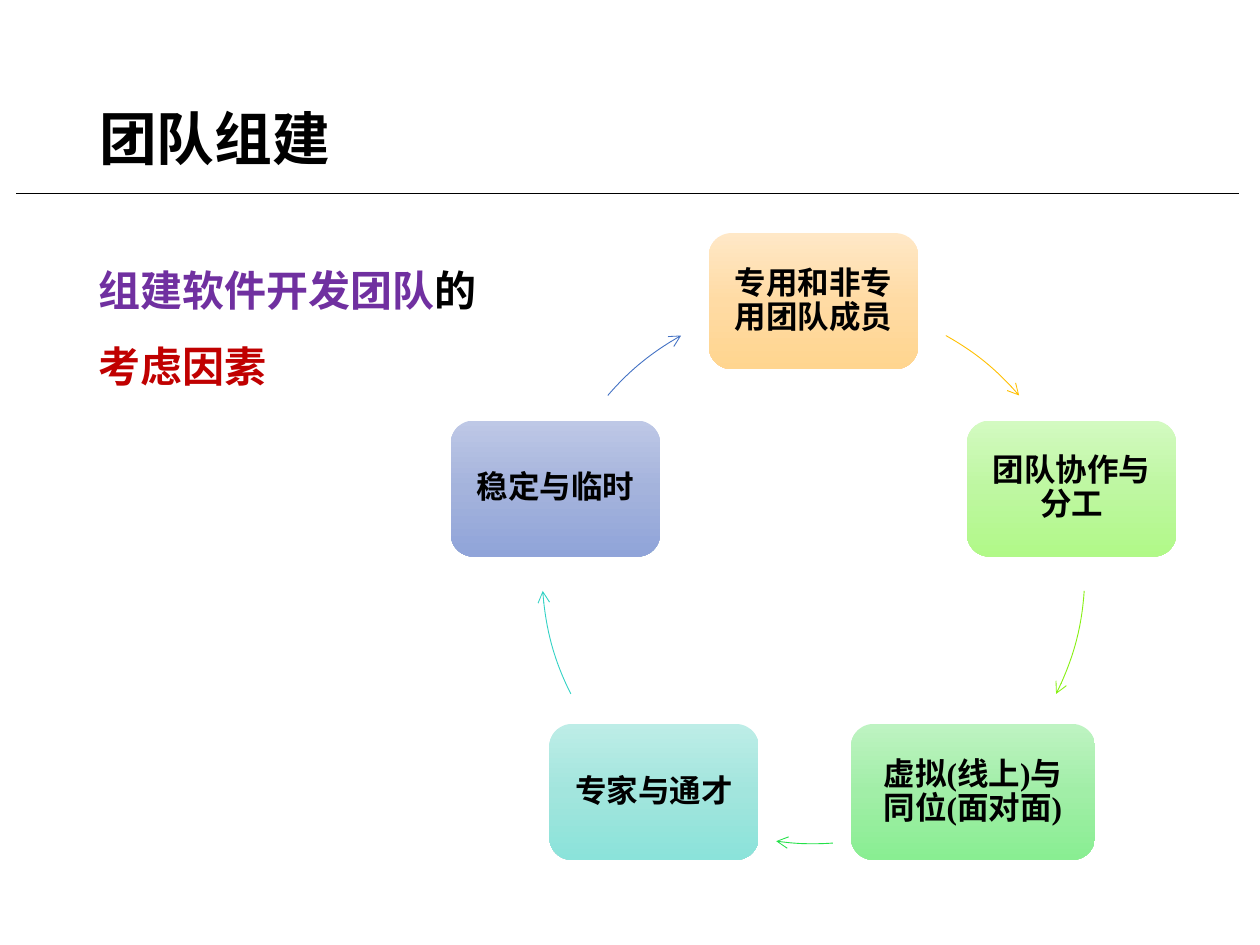
from copy import deepcopy
from math import cos, radians, sin

from pptx import Presentation
from pptx.dml.color import RGBColor as RGB
from pptx.enum.shapes import MSO_CONNECTOR as CONN, MSO_SHAPE as SHAPE
from pptx.enum.text import MSO_ANCHOR as ANCHOR, PP_ALIGN as ALIGN
from pptx.oxml.ns import qn
from pptx.util import Cm, Pt
from lxml.etree import SubElement

COLORS = {"black": "000000", "purple": "7030A0", "red": "C00000"}

prs = Presentation()
prs.slide_width, prs.slide_height = Cm(25.4), Cm(19.05)
slide = prs.slides.add_slide(prs.slide_layouts[6])
shapes = slide.shapes


def style(r, size, color="black", font="Times New Roman"):
    r.font.name, r.font.size, r.font.bold = font, Pt(size), True
    r.font.color.rgb = RGB.from_string(COLORS[color])


def text_box(x, y, w, h, anchor):
    tf = shapes.add_textbox(Cm(x), Cm(y), Cm(w), Cm(h)).text_frame
    tf.word_wrap = True
    tf.vertical_anchor = anchor
    return tf


rule = shapes.add_connector(CONN.STRAIGHT, Cm(0.33), Cm(3.89), Cm(24.97), Cm(3.89))
rule.line.color.rgb = RGB.from_string(COLORS["black"])
rule.line.width = Pt(0.5)
SubElement(rule._element.spPr, qn("a:effectLst"))

tf = text_box(1.75, 1.02, 21.9, 3.68, ANCHOR.MIDDLE)
tf.text = "团队组建"
tf.paragraphs[0].line_spacing = 0.9
style(tf.paragraphs[0].runs[0], 33, font="Calibri")

body = [[("组建软件开发团队", "purple"), ("的", "black")], [("考虑因素", "red")]]
tf = text_box(1.73, 4.7, 18.31, 9.07, ANCHOR.TOP)
for i, line in enumerate(body):
    p = tf.paragraphs[0] if i == 0 else tf.add_paragraph()
    p.line_spacing = 1.5
    for text, color in line:
        r = p.add_run()
        r.text = text
        style(r, 24, color)

center_x, center_y, radius = 16.4, 11.54, 5.47
node_h = 2.74
factors = [
    ("专用和非专用团队成员", 4.22, ["FFE8C7", "FFDBA4", "FFD58F"], "FFC000", 299.2, 319.3),
    ("团队协作与分工", 4.22, ["D3FAC1", "BEF7A1", "B1F988"], "86F011", 3.9, 26.6),
    ("虚拟(线上)与 同位(面对面)", 4.92, ["BEF3C2", "A1EEA7", "89EE92"], "23E148", 85.9, 97.9),
    ("专家与通才", 4.22, ["BDEDE7", "A2E5DD", "8BE3DA"], "33D2C5", 153.4, 176.1),
    ("稳定与临时", 4.22, ["BEC8E6", "A4B3DC", "90A4D9"], "4472C4", 220.7, 240.8),
]
for i, (text, node_w, gradient, arrow_color, start, end) in enumerate(factors):
    angle = radians(72 * i - 90)
    x = center_x + radius * cos(angle) - node_w / 2
    y = center_y + radius * sin(angle) - node_h / 2
    s = shapes.add_shape(SHAPE.ROUNDED_RECTANGLE, Cm(x), Cm(y), Cm(node_w), Cm(node_h))
    s.shadow.inherit = False
    s.line.fill.background()
    s.fill.gradient()
    s.fill.gradient_angle = 270
    stops = s._element.spPr.find(qn("a:gradFill")).find(qn("a:gsLst"))
    stops.insert(1, deepcopy(stops[0]))
    for k, stop in enumerate(s.fill.gradient_stops):
        stop.position = k / 2
        stop.color.rgb = RGB.from_string(gradient[k])
    tf = s.text_frame
    tf.word_wrap = True
    tf.vertical_anchor = ANCHOR.MIDDLE
    tf.margin_left = tf.margin_right = tf.margin_top = tf.margin_bottom = Cm(0.2)
    tf.text = text
    p = tf.paragraphs[0]
    p.alignment = ALIGN.CENTER
    p.line_spacing = 0.9
    style(p.runs[0], 18)

    arc = shapes.add_shape(SHAPE.ARC, Cm(center_x - radius), Cm(center_y - radius),
                           Cm(2 * radius), Cm(2 * radius))
    arc.shadow.inherit = False
    arc.adjustments[0], arc.adjustments[1] = start * 0.6, end * 0.6
    arc.fill.background()
    arc.line.color.rgb = RGB.from_string(arrow_color)
    arc.line.width = Pt(0.5)
    SubElement(arc._element.spPr.find(qn("a:ln")), qn("a:tailEnd"), type="arrow")

prs.save("out.pptx")
